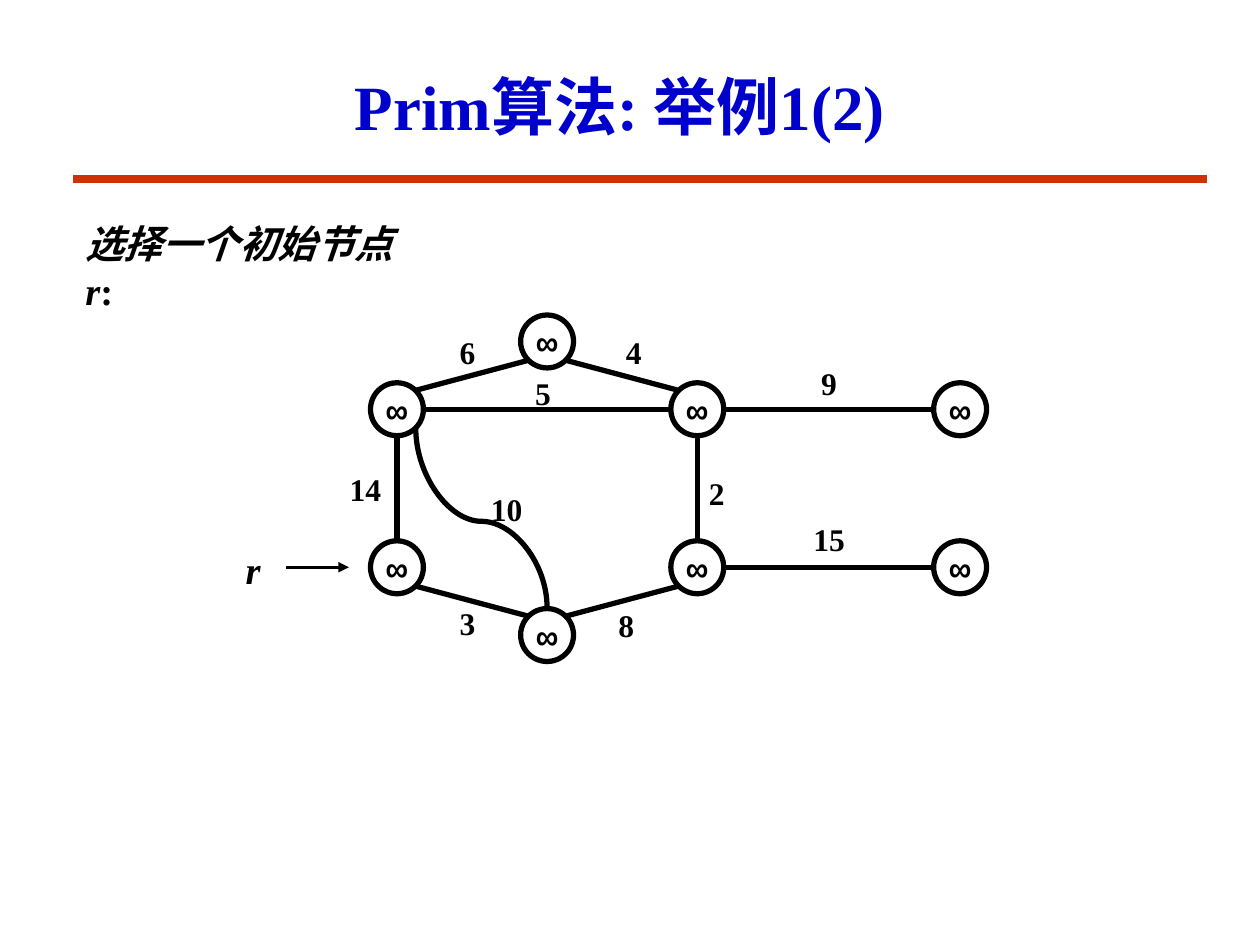
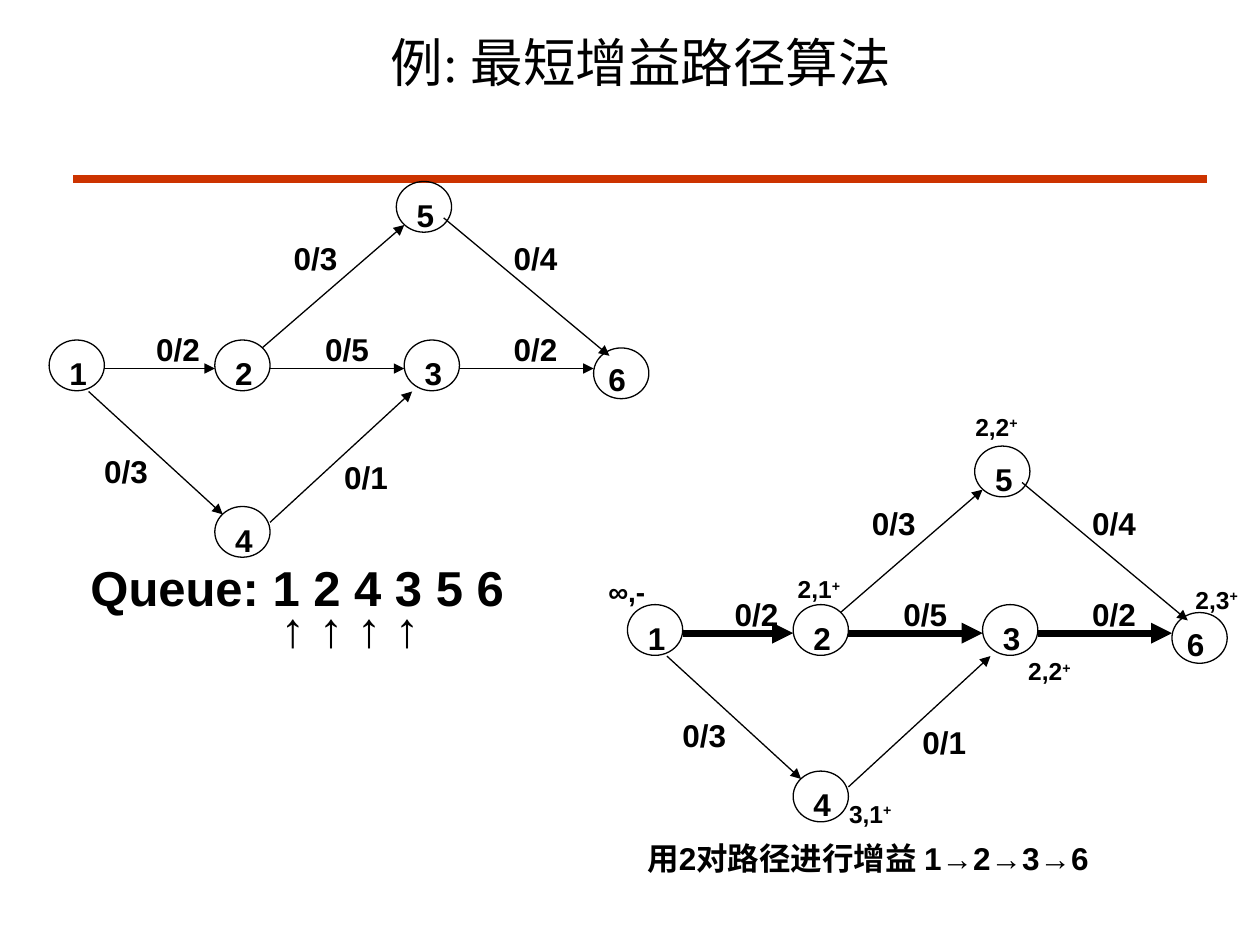
from dataclasses import dataclass

from lxml.etree import SubElement
from pptx import Presentation
from pptx.dml.color import RGBColor
from pptx.enum.shapes import MSO_CONNECTOR, MSO_SHAPE
from pptx.enum.text import MSO_ANCHOR, PP_ALIGN
from pptx.oxml.ns import qn
from pptx.util import Inches, Pt

STRAIGHT, CURVE = MSO_CONNECTOR.STRAIGHT, MSO_CONNECTOR.CURVE
OVAL = MSO_SHAPE.OVAL
LEFT, CENTER = PP_ALIGN.LEFT, PP_ALIGN.CENTER
TOP, MIDDLE = MSO_ANCHOR.TOP, MSO_ANCHOR.MIDDLE


@dataclass(frozen=True)
class Theme:
    ink: RGBColor = RGBColor(0, 0, 0)
    heading: RGBColor = RGBColor(0x00, 0x00, 0xCC)
    rule: RGBColor = RGBColor(0xCC, 0x33, 0x00)
    serif: str = "Times New Roman"
    sans: str = "Arial"
    mono: str = "Courier New"
    title: int = 36
    plain_title: int = 30
    queue: int = 28
    lead: int = 22
    infinity: int = 20
    label: int = 18
    start_mark: int = 16
    mark: int = 14
    rule_line: float = 4.5
    path_line: float = 4
    tree_line: float = 3
    pointer_line: float = 1.75
    thin_line: float = 0.75


THEME = Theme()


@dataclass(frozen=True)
class Box:
    left: float
    top: float
    width: float
    height: float
    cols: int
    rows: int

    def x(self, col):
        return self.left + self.width * col / self.cols

    def y(self, row):
        return self.top + self.height * row / self.rows

    def at(self, col, row):
        return self.x(col), self.y(row)

    def area(self, col, row, cols, rows):
        return (*self.at(col, row), self.width * cols / self.cols,
                self.height * rows / self.rows)


PAGE = Box(0, 0, 10, 7.5, 100, 75)
PRIM_BOX = Box(3.15, 2.71, 4.47, 2.33, 15, 13)
FLOW_BOX = Box(0.39, 1.44, 4.76, 3.02, 76, 48)
AUGMENTED_BOX = Box(4.98, 3.54, 4.76, 3.02, 76, 48)

PRIM_RADIUS, PRIM_GAP, PRIM_CORNER = 0.21, 0.22, 0.15
PRIM_NODES = {
    "top": (4, 0), "upper left": (0, 3), "upper mid": (8, 3),
    "upper right": (15, 3), "lower left": (0, 10), "lower mid": (8, 10),
    "lower right": (15, 10), "bottom": (4, 13),
}
PRIM_EDGES = [
    ("upper left", "top", "6", 1.88, 0.45),
    ("top", "upper mid", "4", 6.31, 0.45),
    ("upper left", "upper mid", "5", 3.89, 2.29),
    ("upper left", "lower left", "14", -0.84, 6.54),
    ("lower left", "bottom", "3", 1.88, 12.46),
    ("bottom", "lower mid", "8", 6.11, 12.57),
    ("upper mid", "lower mid", "2", 8.52, 6.7),
    ("upper mid", "upper right", "9", 11.51, 1.84),
    ("lower mid", "lower right", "15", 11.51, 8.77),
]

FLOW_NODES = {
    "1": (0, 20), "2": (21, 20), "3": (45, 20),
    "4": (21, 41), "5": (44, 0), "6": (69, 21),
}
NUMBER_SHIFT = {"6": (0.3, 0.75)}
FLOW_EDGES = [
    ("12", (7, 23.6), (21, 23.6), "0/2", (12, 18)),
    ("23", (28, 23.6), (45, 23.6), "0/5", (33.4, 18)),
    ("36", (52, 23.6), (69, 23.6), "0/2", (57.3, 18)),
    ("14", (5, 26.5), (22, 42), "0/3", (5.4, 33.3)),
    ("43", (28, 43), (46, 26.5), "0/1", (35.8, 34.1)),
    ("25", (27, 21), (45, 5.5), "0/3", (29.4, 6.5)),
    ("56", (50, 4.6), (71, 22), "0/4", (57.3, 6.5)),
]
AUGMENTING_PATH = {"12", "23", "36"}
VERTEX_MARKS = [
    ("2,1", 20, 15.4), ("2,2", 42.5, -5.1), ("2,3", 70.4, 16.7),
    ("2,2", 49.2, 25.7), ("3,1", 26.5, 43.7),
]


def style(paragraph, size, font, bold=True, color=THEME.ink, align=LEFT):
    paragraph.alignment = align
    paragraph.font.size = Pt(size)
    paragraph.font.name = font
    paragraph.font.bold = bold
    paragraph.font.color.rgb = color


def write(shapes, area, text, size, font, wrap=False, anchor=TOP, **look):
    frame = shapes.add_textbox(*map(Inches, area)).text_frame
    frame.word_wrap = wrap
    frame.vertical_anchor = anchor
    paragraph = frame.paragraphs[0]
    paragraph.add_run().text = text
    style(paragraph, size, font, **look)
    return frame


def connect(shapes, start, end, width, arrow=False, kind=STRAIGHT, color=THEME.ink):
    link = shapes.add_connector(kind, *map(Inches, (*start, *end)))
    link.line.color.rgb = color
    link.line.width = Pt(width)
    properties = link._element.spPr
    if arrow:
        SubElement(properties.find(qn("a:ln")), qn("a:tailEnd"), type="triangle")
    SubElement(properties, qn("a:effectLst"))
    return link


def circle(shapes, area, width):
    node = shapes.add_shape(OVAL, *map(Inches, area))
    node.shadow.inherit = False
    node.fill.background()
    node.line.color.rgb = THEME.ink
    node.line.width = Pt(width)
    return node


def new_slide(deck, title, title_area, size, **look):
    shapes = deck.slides.add_slide(deck.slide_layouts[6]).shapes
    connect(shapes, PAGE.at(5.8, 14.2), PAGE.at(95.8, 14.2), THEME.rule_line,
            color=THEME.rule)
    write(shapes, PAGE.area(*title_area), title, size, THEME.serif, wrap=True,
          anchor=MIDDLE, align=CENTER, **look)
    return shapes


def centred_label(shapes, box, col, row, text, size):
    width = 0.21 + 0.12 * len(text)
    x, y = box.at(col, row)
    return write(shapes, (x - width / 2, y - 0.2, width, 0.4), text, size,
                 THEME.serif, align=CENTER)


def prim_edge(shapes, start, end):
    def trim(a, b, reach):
        return reach * ((b > a) - (b < a))

    (x1, y1), (x2, y2) = start, end
    reach = PRIM_GAP if x1 == x2 or y1 == y2 else PRIM_CORNER
    dx, dy = trim(x1, x2, reach), trim(y1, y2, reach)
    connect(shapes, (x1 + dx, y1 + dy), (x2 - dx, y2 - dy), THEME.tree_line)


def vertical_curve(shapes, start, end):
    (x1, y1), (x2, y2) = start, end
    middle_x, middle_y = (x1 + x2) / 2, (y1 + y2) / 2
    half_run, half_rise = (y1 - y2) / 2, (x1 - x2) / 2
    curve = connect(shapes, (middle_x + half_run, middle_y - half_rise),
                    (middle_x - half_run, middle_y + half_rise),
                    THEME.tree_line, kind=CURVE)
    properties = curve._element.spPr
    properties.find(qn("a:xfrm")).set("rot", str(90 * 60000))
    guides = properties.find(qn("a:prstGeom")).find(qn("a:avLst"))
    SubElement(guides, qn("a:gd"), name="adj1", fmla="val 48000")


def prim_graph(shapes, box):
    centres = {name: box.at(*cell) for name, cell in PRIM_NODES.items()}
    for x, y in centres.values():
        side = 2 * PRIM_RADIUS
        node = circle(shapes, (x - PRIM_RADIUS, y - PRIM_RADIUS, side, side),
                      THEME.tree_line)
        frame = node.text_frame
        frame.word_wrap = False
        frame.vertical_anchor = MIDDLE
        frame.text = "∞"
        style(frame.paragraphs[0], THEME.infinity, THEME.mono, align=CENTER)
    for start, end, *_ in PRIM_EDGES:
        prim_edge(shapes, centres[start], centres[end])
    bottom_x, bottom_y = centres["bottom"]
    left_x, left_y = centres["upper left"]
    vertical_curve(shapes, (bottom_x, bottom_y - PRIM_GAP),
                   (left_x + PRIM_CORNER, left_y + PRIM_CORNER))
    for *_, weight, col, row in PRIM_EDGES:
        centred_label(shapes, box, col, row, weight, THEME.label)
    centred_label(shapes, box, 2.92, 7.43, "10", THEME.label)
    root = centred_label(shapes, box, -3.83, 9.89, "r", THEME.lead)
    root.paragraphs[0].font.italic = True
    connect(shapes, box.at(-2.95, 10), box.at(-1.28, 10), THEME.pointer_line, arrow=True)


def flow_graph(shapes, box, path=()):
    for cell in FLOW_NODES.values():
        circle(shapes, box.area(*cell, 7, 6.4), THEME.thin_line)
    for name, start, end, *_ in FLOW_EDGES:
        width = THEME.path_line if name in path else THEME.thin_line
        connect(shapes, box.at(*start), box.at(*end), width, arrow=True)
    for number, (col, row) in FLOW_NODES.items():
        right, down = NUMBER_SHIFT.get(number, (1, 1))
        write(shapes, box.area(col + right, row + down, 5.4, 6.4), number,
              THEME.label, THEME.sans)
    for *_, flow, cell in FLOW_EDGES:
        write(shapes, box.area(*cell, 8.8, 6.4), flow, THEME.label, THEME.sans)


def vertex_marks(shapes, box):
    write(shapes, box.area(-4, 15.4, 8, 5.9), "∞,-", THEME.start_mark, THEME.sans,
          wrap=True)
    for text, col, row in VERTEX_MARKS:
        frame = write(shapes, box.area(col, row, 9.3, 5.3), text, THEME.mark,
                      THEME.sans, wrap=True)
        sign = frame.paragraphs[0].add_run()
        sign.text = "+"
        sign.font._element.set("baseline", "30000")


def queue(shapes, area):
    frame = write(shapes, area, "Queue: 1 2 4 3 5 6", THEME.queue, THEME.sans, wrap=True)
    pointers = frame.add_paragraph()
    pointers.text = "↑ ↑ ↑ ↑"
    pointers.space_before = Pt(15)
    pointers._p.get_or_add_pPr().set("marL", str(Inches(1.51)))
    style(pointers, THEME.queue, THEME.sans)
    for paragraph in frame.paragraphs:
        paragraph.line_spacing = 0.25


def prim_slide(deck):
    shapes = new_slide(deck, "Prim算法: 举例1(2)", (6.7, 4.2, 85, 8.3),
                       THEME.title, color=THEME.heading)
    lead = write(shapes, PAGE.area(5.8, 17, 28, 4.7), "选择一个初始节点r",
                 THEME.lead, THEME.serif, wrap=True).paragraphs[0]
    lead.runs[0].font.italic = True
    lead.add_run().text = ":"
    prim_graph(shapes, PRIM_BOX)


def augmenting_slide(deck):
    shapes = new_slide(deck, "例: 最短增益路径算法", (4.2, 1.7, 93.3, 6.3),
                       THEME.plain_title, bold=False)
    queue(shapes, PAGE.area(6.2, 46.7, 35.4, 5.7))
    write(shapes, PAGE.area(50.4, 66.1, 45.8, 4), "用2对路径进行增益 1→2→3→6",
          THEME.label, THEME.sans, wrap=True)
    flow_graph(shapes.add_group_shape().shapes, FLOW_BOX)
    augmented = shapes.add_group_shape().shapes
    flow_graph(augmented, AUGMENTED_BOX, AUGMENTING_PATH)
    vertex_marks(augmented, AUGMENTED_BOX)


def main():
    deck = Presentation()
    deck.slide_width = Inches(PAGE.width)
    deck.slide_height = Inches(PAGE.height)
    prim_slide(deck)
    augmenting_slide(deck)
    deck.save("out.pptx")


if __name__ == "__main__":
    main()
